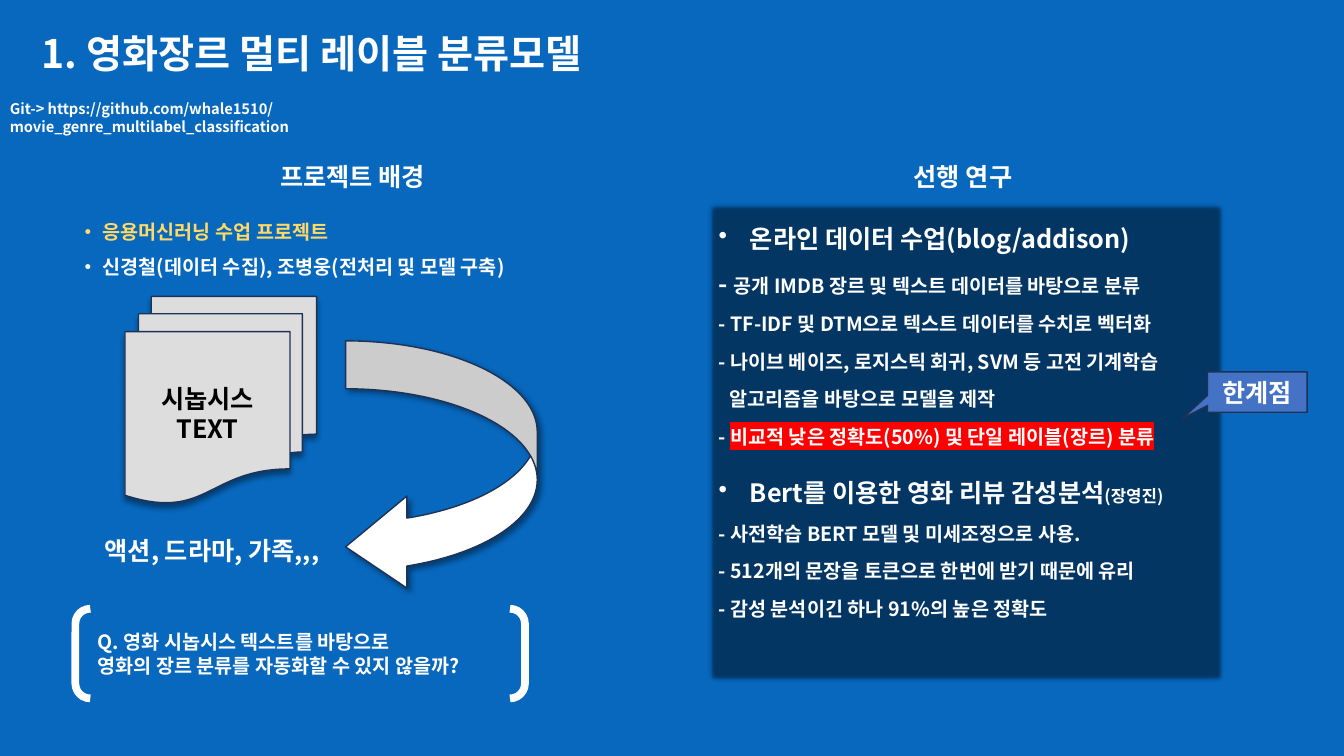
from dataclasses import dataclass

from lxml.etree import SubElement
from pptx import Presentation
from pptx.dml.color import RGBColor as Rgb
from pptx.enum.shapes import MSO_SHAPE as Form
from pptx.enum.text import MSO_ANCHOR as Anchor, PP_ALIGN as Align
from pptx.oxml.ns import qn
from pptx.util import Cm, Pt


@dataclass(frozen=True)
class Theme:
    """Colours, font and type sizes of the slide."""
    font: str = "Noto Sans CJK KR"
    back: str = "0768BE"
    panel: str = "043664"
    white: str = "FFFFFF"
    black: str = "000000"
    gold: str = "FFD966"
    red: str = "FF0000"
    paper: str = "DDDDDD"
    edge: str = "1E3256"
    tag: str = "4472C4"
    title: float = 28
    head: float = 18
    body: float = 14
    note: float = 12
    link: float = 10.5


T = Theme()


@dataclass
class Run:
    """One stretch of text in one style."""
    text: str
    size: float = T.body
    color: str = T.white
    mark: str = ""
    wrap: bool = False


@dataclass
class Para:
    """One paragraph: its runs, bullet and spacing."""
    runs: list
    bullet: str = ""
    left: float = 0
    gap: float = 0
    lead: float = 1
    align: Align = Align.LEFT


def ink(fmt, color):
    """Give a fill or font colour format a solid colour."""
    fmt.solid()
    fmt.fore_color.rgb = Rgb.from_string(color)


def add_run(para, item):
    """Add one styled run to a paragraph, with a line break after it if asked."""
    run = para.add_run()
    run.text = item.text
    font = run.font
    font.size, font.bold, font.name = Pt(item.size), True, T.font
    ink(font.fill, item.color)
    props = run._r.get_or_add_rPr()
    props.set("kern", "0")
    SubElement(props, qn("a:ea"), typeface=T.font)
    if item.mark:
        mark = SubElement(props, qn("a:highlight"))
        SubElement(mark, qn("a:srgbClr"), val=item.mark)
        props.find(qn("a:solidFill")).addnext(mark)
    if item.wrap:
        para.add_line_break()


def write(frame, paras, anchor=Anchor.TOP):
    """Fill a text frame paragraph by paragraph."""
    frame.word_wrap = True
    frame.vertical_anchor = anchor
    for n, item in enumerate(paras):
        para = frame.add_paragraph() if n else frame.paragraphs[0]
        props = para._p.get_or_add_pPr()
        if item.left:
            props.set("marL", str(Cm(item.left)))
            props.set("indent", str(-Cm(item.left) if item.bullet else 0))
        if item.bullet:
            SubElement(props, qn("a:buChar"), char=item.bullet)
        para.alignment, para.line_spacing = item.align, item.lead
        if n and item.gap:
            para.space_before = Pt(item.gap)
        for run in item.runs:
            add_run(para, run)


def add_text(slide, box, paras, anchor=Anchor.TOP):
    """Place a text box."""
    write(slide.shapes.add_textbox(*map(Cm, box)).text_frame, paras, anchor)


def add_form(slide, form, box, fill="", line="", width=1, shade=None, soft=0):
    """Place a preset shape; shade is blur, distance and angle."""
    shape = slide.shapes.add_shape(form, *map(Cm, box))
    if fill:
        ink(shape.fill, fill)
    else:
        shape.fill.background()
    if line:
        ink(shape.line.fill, line)
        shape.line.width = Pt(width)
    else:
        shape.line.fill.background()
    shape.shadow.inherit = False
    effects = shape._element.spPr.find(qn("a:effectLst"))
    if shade:
        blur, dist, angle = shade
        glow = SubElement(effects, qn("a:outerShdw"), blurRad=str(Pt(blur)),
                          dist=str(Pt(dist)), dir=str(angle * 60000),
                          algn="ctr", rotWithShape="0")
        color = SubElement(glow, qn("a:srgbClr"), val=T.black)
        SubElement(color, qn("a:alpha"), val="40000")
    if soft:
        SubElement(effects, qn("a:softEdge"), rad=str(Pt(soft)))
    return shape


def draw_top(slide, box):
    """Draw the title and the link."""
    x, y, w, h = box
    add_text(slide, (x, y, w, 2.06), [
        Para([Run("1. 영화장르 멀티 레이블 분류모델 ", T.title)], lead=0.9, align=Align.CENTER)],
        Anchor.BOTTOM)
    add_text(slide, (x, y + 2.39, 13.92, h - 2.39), [
        Para([Run("Git-> https://github.com/whale1510/", T.link, wrap=True),
              Run("movie_genre_multilabel_classification", T.link)])])


def draw_goal(slide, box):
    """Draw the project background with its flow and question."""
    x, y, w, h = box
    add_text(slide, (x + 5.08, y, 4.83, 1.02), [Para([Run("프로젝트 배경", T.head)])])
    shape = add_form(slide, Form.FLOWCHART_MULTIDOCUMENT, (x + 1.42, y + 3.53, 4.83, 5.21),
                     T.paper, T.edge, shade=(4, 3, 90))
    write(shape.text_frame, [Para([Run(text, T.head, T.black)], align=Align.CENTER)
                             for text in ("시놉시스", "TEXT")], Anchor.MIDDLE)
    arrow = add_form(slide, Form.CURVED_LEFT_ARROW, (x + 6.98, y + 4.65, 4.83, 6.35),
                     T.white, T.edge, shade=(4, 3, 45))
    for n, value in enumerate((0.25, 0.48, 0.32)):
        arrow.adjustments[n] = value
    add_text(slide, (x + 0.66, y + 9.42, 6.3, 1.02),
             [Para([Run("액션, 드라마, 가족,,,", T.head)])])
    add_form(slide, Form.DOUBLE_BRACKET, (x + 0.17, y + 11.4, 11.33, h - 11.4),
             line=T.white, width=5.5)
    add_text(slide, (x + 0.48, y + 11.81, 10.77, 1.45), [
        Para([Run("Q. 영화 시놉시스 텍스트를 바탕으로")]),
        Para([Run("영화의 장르 분류를 자동화할 수 있지 않을까?")])])
    add_text(slide, (x, y + 1.17, w, 1.93), [
        Para([Run(text, color=color)], lead=1.5) for text, color in (
            ("• 응용머신러닝 수업 프로젝트", T.gold),
            ("• 신경철(데이터 수집), 조병웅(전처리 및 모델 구축)", T.white))])


def draw_work(slide, box):
    """Draw the earlier studies and the tag on their limit."""
    x, y, w, h = box

    def head(*runs):
        """Make a bulleted heading."""
        return Para(list(runs), "•", 0.79, 10, 1.5)

    def item(*runs, left=0):
        """Make a line below a heading."""
        return Para(list(runs), left=left, gap=10)

    add_text(slide, (x + 4.92, y, 3.4, 1.02), [Para([Run("선행 연구", T.head)])])
    panel = add_form(slide, Form.RECTANGLE, (x, y + 1.19, w, h - 1.19),
                     T.panel, shade=(5, 0, 0), soft=2.5)
    write(panel.text_frame, [
        head(Run("온라인 데이터 수업(blog/addison)", T.head)),
        item(Run("- ", T.head), Run("공개 IMDB 장르 및 텍스트 데이터를 바탕으로 분류")),
        item(Run("- TF-IDF 및 DTM으로 텍스트 데이터를 수치로 벡터화")),
        item(Run("- 나이브 베이즈, 로지스틱 회귀, SVM 등 고전 기계학습")),
        item(Run("알고리즘을 바탕으로 모델을 제작"), left=0.28),
        item(Run("- "), Run("비교적 낮은 정확도(50%) 및 단일 레이블(장르) 분류", mark=T.red)),
        head(Run("Bert를 이용한 영화 리뷰 감성분석", T.head), Run("(장영진)", T.note)),
        item(Run("- 사전학습 BERT 모델 및 미세조정으로 사용.")),
        item(Run("- 512개의 문장을 토큰으로 한번에 받기 때문에 유리")),
        item(Run("- 감성 분석이긴 하나 91%의 높은 정확도"))])
    tag = add_form(slide, Form.RECTANGULAR_CALLOUT, (x + 12.57, y + 5.43, 2.51, 1.02),
                   T.tag, T.edge)
    tag.adjustments[0], tag.adjustments[1] = -0.75, 0.65
    write(tag.text_frame, [Para([Run("한계점", T.head)], align=Align.CENTER)], Anchor.MIDDLE)


def main():
    """Build the slide and save it."""
    deck = Presentation()
    deck.slide_width, deck.slide_height = Cm(33.87), Cm(19.05)
    slide = deck.slides.add_slide(deck.slide_layouts[6])
    ink(slide.background.fill, T.back)
    draw_top(slide, (0, 0, 15.93, 3.1))
    draw_goal(slide, (1.73, 3.94, 12.47, 13.66))
    draw_work(slide, (17.86, 3.94, 12.98, 13.23))
    deck.save("out.pptx")


if __name__ == "__main__":
    main()
